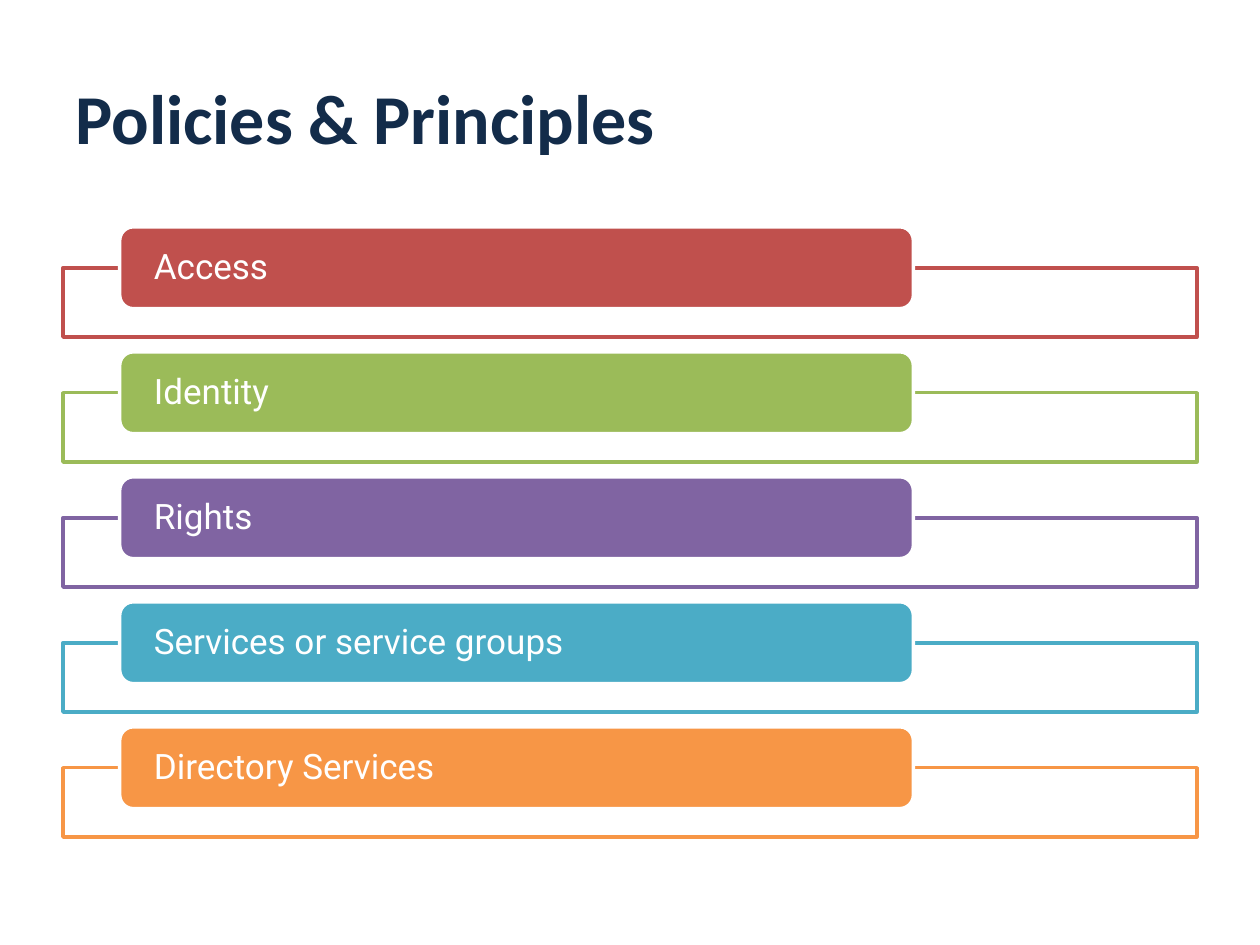
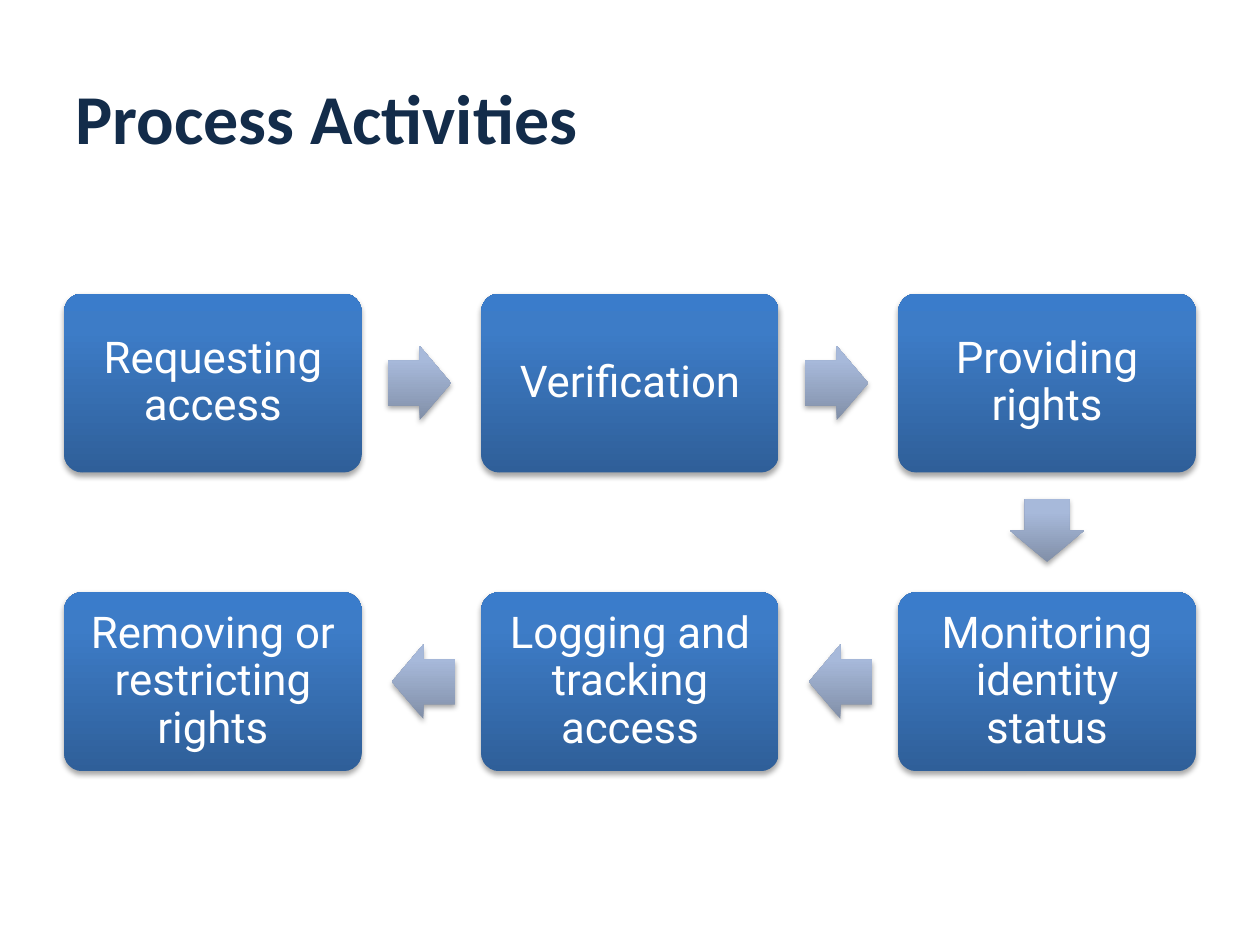
from dataclasses import dataclass
from itertools import pairwise

from pptx import Presentation as Deck
from pptx.dml.color import RGBColor as Rgb
from pptx.enum.shapes import MSO_SHAPE as Kind
from pptx.enum.text import MSO_ANCHOR as Anchor, MSO_AUTO_SIZE as Fit, PP_ALIGN as Align
from pptx.oxml import parse_xml
from pptx.oxml.ns import nsdecls, qn
from pptx.shapes.autoshape import Shape
from pptx.slide import Slide
from pptx.text.text import TextFrame as Frame
from pptx.util import Inches, Pt

WIDE, TALL = Inches(10), Inches(7.5)
COL, ROW = WIDE / 100, TALL / 75

HUES = {
    "ink": "132C4A", "white": "FFFFFF", "black": "000000",
    "red": "C0504D", "green": "9BBB59", "purple": "8064A2",
    "teal": "4BACC6", "orange": "F79646",
    "box low": "2F5F99", "box mid": "3D7CC7", "box top": "3A7CCB",
    "arrow low": "818FA8", "arrow mid": "A7B9DA", "arrow top": "A7BADC",
}


@dataclass(frozen=True)
class Box:
    x: float
    y: float
    w: float
    h: float

    def move(self, right: float, down: float) -> "Box":
        return Box(self.x + right, self.y + down, self.w, self.h)

    def mid(self) -> tuple[float, float]:
        return self.x + self.w / 2, self.y + self.h / 2

    def place(self) -> tuple[int, int, int, int]:
        return (round(self.x * COL), round(self.y * ROW),
                round(self.w * COL), round(self.h * ROW))


@dataclass(frozen=True)
class Style:
    font: str
    size: int
    hue: str
    bold: bool = False
    align: Align = Align.LEFT
    lead: float = 1.0


@dataclass(frozen=True)
class Topic:
    text: str
    hue: str


@dataclass(frozen=True)
class Step:
    text: str
    col: int
    row: int


TITLE = Style("Calibri", 40, "ink", bold=True)
LABEL = Style("Roboto", 20, "white", lead=0.9)
ACTION = Style("Roboto", 25, "white", align=Align.CENTER, lead=0.9)

HEAD = Box(5, 3, 90, 12.5)
PANEL = Box(5, 21.25, 90, 5.5)
BAR = Box(9.5, 18, 63, 6.5)
TOPIC_GAP = 9.92
CARD = Box(5.1, 23.3, 23.6, 14.2)
CARD_COL, CARD_ROW = 33.1, 23.7
ARROW_W, ARROW_H, ARROW_LAG = 5, 5.9, 0.15

TOPICS = [
    Topic("Access", "red"),
    Topic("Identity", "green"),
    Topic("Rights", "purple"),
    Topic("Services or service groups", "teal"),
    Topic("Directory Services", "orange"),
]
STEPS = [
    Step("Requesting access", 0, 0),
    Step("Verification", 1, 0),
    Step("Providing rights", 2, 0),
    Step("Monitoring identity status", 2, 1),
    Step("Logging and tracking access", 1, 1),
    Step("Removing or restricting rights", 0, 1),
]
TURNS = {(1, 0): 0, (0, 1): 90, (-1, 0): 180}


def paint(name: str) -> Rgb:
    return Rgb.from_string(HUES[name])


def write(frame: Frame, text: str, style: Style, pad: tuple[float, float]) -> None:
    frame.word_wrap = True
    frame.auto_size = Fit.NONE
    frame.vertical_anchor = Anchor.MIDDLE
    frame.margin_left = frame.margin_right = Inches(pad[0])
    frame.margin_top = frame.margin_bottom = Inches(pad[1])
    para = frame.paragraphs[0]
    para.alignment = style.align
    para.line_spacing = style.lead
    run = para.add_run()
    run.text = text
    run.font.name = style.font
    run.font.size = Pt(style.size)
    run.font.bold = style.bold
    run.font.color.rgb = paint(style.hue)


def start(deck: Deck, title: str) -> Slide:
    slide = deck.slides.add_slide(deck.slide_layouts[5])
    head = slide.shapes.title
    head.left, head.top, head.width, head.height = HEAD.place()
    write(head.text_frame, title, TITLE, (0.1, 0.05))
    return slide


def flat(slide: Slide, kind: Kind, box: Box, fill: str, line: str) -> Shape:
    shape = slide.shapes.add_shape(kind, *box.place())
    shape.shadow.inherit = False
    shape.fill.solid()
    shape.fill.fore_color.rgb = paint(fill)
    shape.line.color.rgb = paint(line)
    shape.line.width = Pt(2)
    return shape


def fade(shape: Shape, share: int) -> None:
    color = shape._element.spPr.find(qn("a:solidFill"))[0]
    color.append(parse_xml(f'<a:alpha {nsdecls("a")} val="{share * 1000}"/>'))


def glossy(slide: Slide, kind: Kind, box: Box, tone: str) -> Shape:
    shape = slide.shapes.add_shape(kind, *box.place())
    shape.line.fill.background()
    stops = "".join(
        f'<a:gs pos="{spot * 1000}"><a:srgbClr val="{HUES[f"{tone} {part}"]}"/></a:gs>'
        for spot, part in ((0, "low"), (80, "mid"), (100, "top"))
    )
    edge = shape._element.spPr.find(qn("a:ln"))
    edge.addprevious(parse_xml(
        f'<a:gradFill {nsdecls("a")} rotWithShape="0"><a:gsLst>{stops}</a:gsLst>'
        '<a:lin ang="16200000" scaled="0"/></a:gradFill>'
    ))
    edge.addnext(parse_xml(
        f'<a:effectLst {nsdecls("a")}><a:outerShdw blurRad="{Pt(3.1)}" dist="{Pt(1.8)}" '
        f'dir="5400000" rotWithShape="0"><a:srgbClr val="{HUES["black"]}">'
        '<a:alpha val="35000"/></a:srgbClr></a:outerShdw></a:effectLst>'
    ))
    return shape


def card(step: Step) -> Box:
    return CARD.move(step.col * CARD_COL, step.row * CARD_ROW)


def link(slide: Slide, tail: Step, head: Step) -> None:
    way = head.col - tail.col, head.row - tail.row
    x, y = (
        (a + b) / 2 - ARROW_LAG * side
        for a, b, side in zip(card(tail).mid(), card(head).mid(), way)
    )
    box = Box(x - ARROW_W / 2, y - ARROW_H / 2, ARROW_W, ARROW_H)
    arrow = glossy(slide, Kind.RIGHT_ARROW, box, "arrow")
    arrow.adjustments[0] = 0.6
    arrow.adjustments[1] = 0.5
    arrow.rotation = TURNS[way]


def list_topics(deck: Deck) -> None:
    slide = start(deck, "Policies & Principles")
    for i, topic in enumerate(TOPICS):
        drop = i * TOPIC_GAP
        panel = flat(slide, Kind.RECTANGLE, PANEL.move(0, drop), "white", topic.hue)
        fade(panel, 90)
        bar = flat(slide, Kind.ROUNDED_RECTANGLE, BAR.move(0, drop), topic.hue, "white")
        write(bar.text_frame, topic.text, LABEL, (0.24, 0))


def show_steps(deck: Deck) -> None:
    slide = start(deck, "Process Activities")
    for step in STEPS:
        shape = glossy(slide, Kind.ROUNDED_RECTANGLE, card(step), "box")
        shape.adjustments[0] = 0.1
        write(shape.text_frame, step.text, ACTION, (0.1, 0.1))
    for tail, head in pairwise(STEPS):
        link(slide, tail, head)


def main() -> None:
    deck = Deck()
    deck.slide_width, deck.slide_height = WIDE, TALL
    list_topics(deck)
    show_steps(deck)
    deck.save("out.pptx")


if __name__ == "__main__":
    main()
